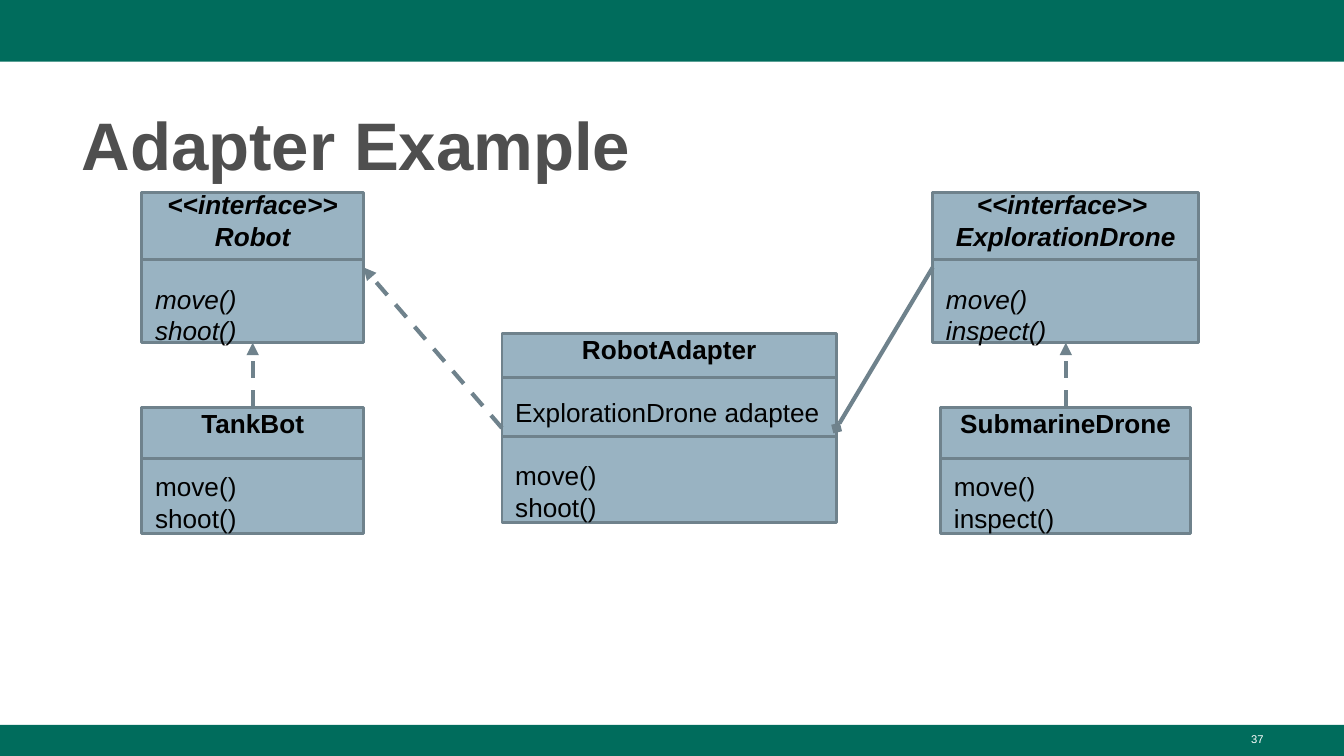
"""Build the Adapter Example class diagram slide."""
import pptx
import pptx.dml.color
import pptx.enum.dml
import pptx.enum.shapes
import pptx.enum.text
import pptx.oxml
import pptx.oxml.ns
import pptx.util

Inches, Pt = pptx.util.Inches, pptx.util.Pt
RGBColor = pptx.dml.color.RGBColor
ALIGN = pptx.enum.text.PP_ALIGN
ANCHOR = pptx.enum.text.MSO_ANCHOR
DASH = pptx.enum.dml.MSO_LINE.DASH
RECTANGLE = pptx.enum.shapes.MSO_SHAPE.RECTANGLE
STRAIGHT = pptx.enum.shapes.MSO_CONNECTOR.STRAIGHT

GREEN = RGBColor(0x00, 0x6C, 0x5C)
GREY = RGBColor(0x4F, 0x4F, 0x4F)
BLUE = RGBColor(0x99, 0xB3, 0xC2)
SLATE = RGBColor(0x6F, 0x82, 0x8C)
BLACK = RGBColor(0, 0, 0)
WHITE = RGBColor(255, 255, 255)

WIDTH = 10
HEIGHT = WIDTH * 9 / 16
BANDS = [(0, 0.46), (HEIGHT - 0.23, 0.23)]
COLUMNS = {"robot": 1.88, "adapter": 4.98, "drone": 7.93}
ROWS = {"interface": (1.43, 1.12), "adapter": (2.48, 1.41), "class": (3.03, 0.94)}
BLANK_LINE = Pt(17)
TOP, LEFT, BOTTOM, RIGHT = range(4)

CLASSES = {
    "Robot": dict(column="robot", row="interface", width=1.65, dividers=[0.5], italic=True,
                  sections=[["<<interface>> Robot"], ["move()", "shoot()"]]),
    "TankBot": dict(column="robot", row="class", width=1.65, dividers=[0.38], italic=False,
                    sections=[["TankBot"], ["move()", "shoot()"]]),
    "ExplorationDrone": dict(column="drone", row="interface", width=1.98, dividers=[0.5], italic=True,
                             sections=[["<<interface>> ", "ExplorationDrone"], ["move()", "inspect()"]]),
    "SubmarineDrone": dict(column="drone", row="class", width=1.86, dividers=[0.38], italic=False,
                           sections=[["SubmarineDrone"], ["move()", "inspect()"]]),
    "RobotAdapter": dict(column="adapter", row="adapter", width=2.49, dividers=[0.33, 0.77], italic=False,
                         sections=[["RobotAdapter"], ["ExplorationDrone adaptee"], ["move()", "shoot()"]]),
}
RELATIONS = [
    ("TankBot", TOP, "Robot", BOTTOM, DASH, "tailEnd", "triangle"),
    ("SubmarineDrone", TOP, "ExplorationDrone", BOTTOM, DASH, "tailEnd", "triangle"),
    ("RobotAdapter", LEFT, "Robot", RIGHT, DASH, "tailEnd", "triangle"),
    ("RobotAdapter", RIGHT, "ExplorationDrone", LEFT, None, "headEnd", "diamond"),
]


def set_font(paragraph, size, color, **style):
    font = paragraph.font
    for key, value in dict(name="Arial", size=Pt(size), **style).items():
        setattr(font, key, value)
    font.color.rgb = color


def add_rectangle(slide, left, top, width, height, fill, line=None):
    shape = slide.shapes.add_shape(RECTANGLE, *map(Inches, (left, top, width, height)))
    shape.shadow.inherit = False
    shape.fill.solid()
    shape.fill.fore_color.rgb = fill
    if line is None:
        shape.line.fill.background()
    else:
        shape.line.color.rgb = line
        shape.line.width = Pt(1.5)
    return shape


def add_line(slide, start, end, width):
    line = slide.shapes.add_connector(STRAIGHT, *map(Inches, start + end))
    line.line.color.rgb = SLATE
    line.line.width = Pt(width)
    line._element.spPr.append(pptx.oxml.parse_xml(f"<a:effectLst {pptx.oxml.ns.nsdecls('a')}/>"))
    return line


def add_text(slide, text, box, size, color, bold, **paragraph_format):
    label = slide.shapes.add_textbox(*map(Inches, box))
    label.text_frame.word_wrap = True
    paragraph = label.text_frame.paragraphs[0]
    paragraph.text = text
    for key, value in paragraph_format.items():
        setattr(paragraph, key, value)
    set_font(paragraph, size, color, bold=bold)


def add_class(slide, column, row, width, dividers, italic, sections):
    top, height = ROWS[row]
    left = COLUMNS[column] - width / 2
    box = add_rectangle(slide, left, top, width, height, BLUE, SLATE)
    frame = box.text_frame
    margins = dict.fromkeys(("margin_left", "margin_top", "margin_right", "margin_bottom"), Inches(0.1))
    for key, value in dict(margins, word_wrap=True, vertical_anchor=ANCHOR.MIDDLE).items():
        setattr(frame, key, value)
    paragraph = frame.paragraphs[0]
    for section, lines in enumerate(sections):
        for number, text in enumerate(lines):
            if section or number:
                paragraph = frame.add_paragraph()
            paragraph.text = text
            paragraph.alignment = ALIGN.LEFT if section else ALIGN.CENTER
            if section and number == 0:
                paragraph.space_before = BLANK_LINE
            set_font(paragraph, 14, BLACK, bold=section == 0, italic=italic)
    for offset in dividers:
        add_line(slide, (left, top + offset), (left + width, top + offset), 1.5)
    return box


def add_relation(slide, source, source_side, target, target_side, dash, end, arrowhead):
    link = add_line(slide, (0, 0), (1, 1), 2.25)
    link.begin_connect(source, source_side)
    link.end_connect(target, target_side)
    if dash:
        link.line.dash_style = dash
    head = pptx.oxml.parse_xml(f'<a:{end} {pptx.oxml.ns.nsdecls("a")} type="{arrowhead}"/>')
    link.line._get_or_add_ln().append(head)


def main():
    deck = pptx.Presentation()
    deck.slide_width, deck.slide_height = Inches(WIDTH), Inches(HEIGHT)
    slide = deck.slides.add_slide(deck.slide_layouts[6])
    for top, height in BANDS:
        add_rectangle(slide, 0, top, WIDTH, height, GREEN)
    add_text(slide, "Adapter Example", (0.51, 0.67, 8.99, 0.73), 36, GREY, True, line_spacing=1.08)
    boxes = {name: add_class(slide, **details) for name, details in CLASSES.items()}
    for source, source_side, target, target_side, *style in RELATIONS:
        add_relation(slide, boxes[source], source_side, boxes[target], target_side, *style)
    add_text(slide, "37", (7.17, 5.4, 2.33, 0.23), 6, WHITE, False, alignment=ALIGN.RIGHT)
    deck.save("out.pptx")


if __name__ == "__main__":
    main()
